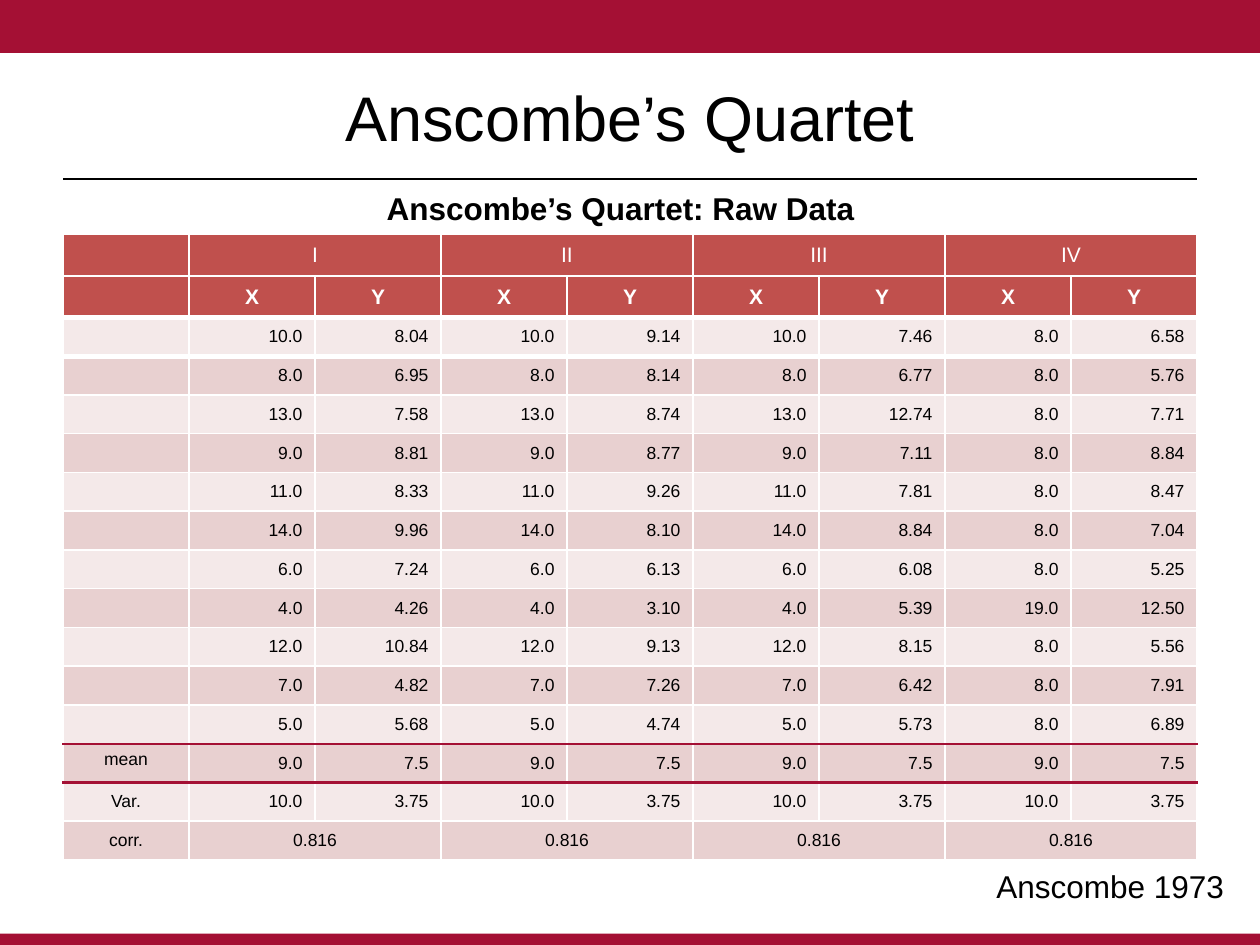
import lxml.etree
import pptx
import pptx.dml.color
import pptx.enum.shapes
import pptx.enum.text
import pptx.oxml.ns
import pptx.util
from pptx.util import Inches

CRIMSON, HEADER, LIGHT, DARK = "A41034", "C0504D", "F4E9E9", "E8D0D0"
WHITE, BLACK = "FFFFFF", "000000"
ALIGN = pptx.enum.text.PP_ALIGN
ANCHOR = pptx.enum.text.MSO_ANCHOR

SHARED_X = ["10.0", "8.0", "13.0", "9.0", "11.0", "14.0", "6.0", "4.0", "12.0", "7.0", "5.0"]
FOURTH_X = ["8.0"] * 7 + ["19.0"] + ["8.0"] * 3
Y_VALUES = [
    ["8.04", "6.95", "7.58", "8.81", "8.33", "9.96", "7.24", "4.26", "10.84", "4.82", "5.68"],
    ["9.14", "8.14", "8.74", "8.77", "9.26", "8.10", "6.13", "3.10", "9.13", "7.26", "4.74"],
    ["7.46", "6.77", "12.74", "7.11", "7.81", "8.84", "6.08", "5.39", "8.15", "6.42", "5.73"],
    ["6.58", "5.76", "7.71", "8.84", "8.47", "7.04", "5.25", "12.50", "5.56", "7.91", "6.89"],
]
HEADER_ROWS = 2
MEAN_ROW = HEADER_ROWS + len(SHARED_X)
CORRELATION_ROW = MEAN_ROW + 2
RULES = {
    HEADER_ROWS: (WHITE, 3),
    HEADER_ROWS + 1: (WHITE, 3),
    MEAN_ROW: (CRIMSON, 1.5),
    MEAN_ROW + 1: (CRIMSON, 1.5),
}


def color(value):
    """Return the colour for a hex string."""
    return pptx.dml.color.RGBColor.from_string(value)


def format_text(paragraph, size, text_color, bold=False, align=ALIGN.LEFT):
    """Format the paragraph and its runs."""
    paragraph.alignment = align
    for run in paragraph.runs:
        run.font.name = "Arial"
        run.font.size = pptx.util.Pt(size)
        run.font.bold = bold
        run.font.color.rgb = color(text_color)


def add_band(slide, top, height):
    """Add a crimson band across the slide."""
    shape = slide.shapes.add_shape(
        pptx.enum.shapes.MSO_SHAPE.RECTANGLE, 0, Inches(top), Inches(10), Inches(height))
    shape.shadow.inherit = False
    shape.fill.solid()
    shape.fill.fore_color.rgb = color(CRIMSON)
    shape.line.fill.background()


def add_rule(slide, left, right, top):
    """Add a thin black horizontal line."""
    connector = slide.shapes.add_connector(
        pptx.enum.shapes.MSO_CONNECTOR.STRAIGHT,
        Inches(left), Inches(top), Inches(right), Inches(top))
    connector.line.color.rgb = color(BLACK)
    connector.line.width = pptx.util.Pt(1.25)
    properties = connector._element.spPr
    lxml.etree.SubElement(properties, pptx.oxml.ns.qn("a:effectLst"))


def add_text(slide, text, left, top, width, height, size, bold=False,
             align=ALIGN.LEFT, anchor=ANCHOR.TOP):
    """Add a text box with one paragraph."""
    frame = slide.shapes.add_textbox(
        Inches(left), Inches(top), Inches(width), Inches(height)).text_frame
    frame.word_wrap = True
    frame.vertical_anchor = anchor
    frame.text = text
    format_text(frame.paragraphs[0], size, BLACK, bold, align)


def set_borders(cell, top, bottom):
    """Draw white side borders and the given top and bottom borders."""
    properties = cell._tc.get_or_add_tcPr()
    sides = {"lnL": (WHITE, 1), "lnR": (WHITE, 1), "lnT": top, "lnB": bottom}
    for position, (tag, (value, width)) in enumerate(sides.items()):
        line = lxml.etree.Element(pptx.oxml.ns.qn("a:" + tag), w=str(pptx.util.Pt(width)))
        fill = lxml.etree.SubElement(line, pptx.oxml.ns.qn("a:solidFill"))
        lxml.etree.SubElement(fill, pptx.oxml.ns.qn("a:srgbClr"), val=value)
        properties.insert(position, line)


def table_rows():
    """Return the text of all table rows."""
    headings = [""]
    for name in ["I", "II", "III", "IV"]:
        headings += [name, ""]
    rows = [headings, [""] + ["X", "Y"] * 4]
    for shared, fourth, *values in zip(SHARED_X, FOURTH_X, *Y_VALUES):
        row = [""]
        for x, y in zip([shared] * 3 + [fourth], values):
            row += [x, y]
        rows.append(row)
    rows.append(["mean"] + ["9.0", "7.5"] * 4)
    rows.append(["Var."] + ["10.0", "3.75"] * 4)
    rows.append(["corr."] + ["0.816", ""] * 4)
    return rows


def format_cell(cell, text, row, column):
    """Fill one cell and format it by its place in the table."""
    header = row < HEADER_ROWS
    size = 12 if header else 10
    centered = header or column == 0 or row == CORRELATION_ROW
    cell.fill.solid()
    cell.fill.fore_color.rgb = color(HEADER if header else DARK if row % 2 else LIGHT)
    cell.vertical_anchor = ANCHOR.TOP if text == "mean" else ANCHOR.MIDDLE
    cell.text_frame.text = text
    paragraph = cell.text_frame.paragraphs[0]
    format_text(paragraph, size, WHITE if header else BLACK, row == 1,
                ALIGN.CENTER if centered else ALIGN.RIGHT)
    if not text:
        lxml.etree.SubElement(
            paragraph._p, pptx.oxml.ns.qn("a:endParaRPr"), sz=str(size * 100))
    rules = dict(RULES)
    if column in (1, 2):
        rules[1] = (WHITE, 1.5)
    set_borders(cell, rules.get(row, (WHITE, 1)), rules.get(row + 1, (WHITE, 1)))


def add_data_table(slide):
    """Add the table of the four data sets and their statistics."""
    rows = table_rows()
    table = slide.shapes.add_table(
        len(rows), 9, Inches(0.5), Inches(1.86), Inches(9), Inches(4.97)).table
    for row, texts in enumerate(rows):
        table.rows[row].height = Inches(0.33 if row < HEADER_ROWS else 4.31 / 14)
        for column, text in enumerate(texts):
            format_cell(table.cell(row, column), text, row, column)
    for row in (0, CORRELATION_ROW):
        for column in range(1, 9, 2):
            table.cell(row, column).merge(table.cell(row, column + 1))


def main():
    """Build and save the slide."""
    presentation = pptx.Presentation()
    presentation.slide_width = Inches(10)
    presentation.slide_height = Inches(7.5)
    slide = presentation.slides.add_slide(presentation.slide_layouts[6])
    add_band(slide, 0, 0.42)
    add_band(slide, 7.41, 0.1)
    add_rule(slide, 0.5, 9.5, 1.42)
    add_text(slide, "Anscombe’s Quartet", 0.5, 0.3, 9, 1.25, 36,
             align=ALIGN.CENTER, anchor=ANCHOR.MIDDLE)
    add_text(slide, "Anscombe 1973", 7.81, 6.83, 2.17, 0.4, 18)
    add_data_table(slide)
    add_text(slide, "Anscombe’s Quartet: Raw Data", 2.97, 1.45, 4.06, 0.4, 18, bold=True)
    presentation.save("out.pptx")


if __name__ == "__main__":
    main()
